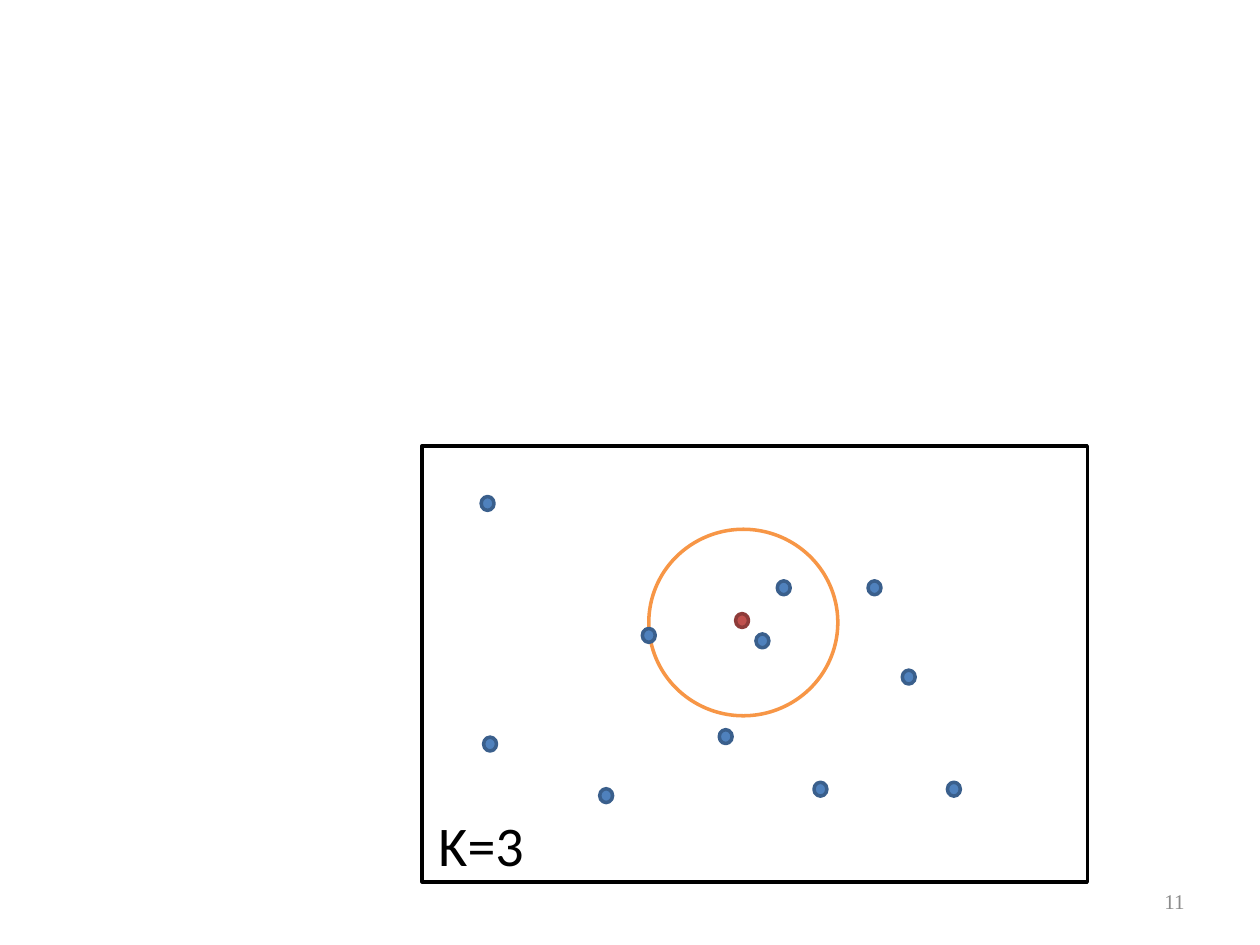
from pptx import Presentation
from pptx.dml.color import RGBColor
from pptx.enum.shapes import MSO_SHAPE
from pptx.enum.text import MSO_ANCHOR, PP_ALIGN
from pptx.util import Cm, Pt

RECTANGLE, OVAL = MSO_SHAPE.RECTANGLE, MSO_SHAPE.OVAL
TOP, MIDDLE = MSO_ANCHOR.TOP, MSO_ANCHOR.MIDDLE
LEFT, RIGHT = PP_ALIGN.LEFT, PP_ALIGN.RIGHT

COLORS = {
    "black": "000000",
    "gray": "8B8B8B",
    "query": "C0504D",
    "query_edge": "8E3B39",
    "sample": "4F81BD",
    "sample_edge": "3A5F8C",
    "neighborhood": "F79646",
}

FRAME = (8.51, 8.99, 13.41, 8.79)
NEIGHBORHOOD = (13.08, 10.67, 3.81, 3.76)
DOT_SIZE = (0.26, 0.28)
QUERY = (14.83, 12.37)
SAMPLES = [
    (17.5, 11.71), (14.5, 14.71), (19.1, 15.77), (12.09, 15.9),
    (15.24, 12.78), (9.7, 10.01), (15.67, 11.71), (12.95, 12.67),
    (16.41, 15.77), (18.19, 13.51), (9.75, 14.86),
]
LABELS = [
    ("K=3", (8.59, 16.21, 2.31, 1.6), "Calibri", 32, "black", LEFT, TOP),
    ("11", (18.21, 17.65, 5.92, 1.02), "Times New Roman", 12, "gray", RIGHT, MIDDLE),
]


def color(name):
    return RGBColor.from_string(COLORS[name])


def add_outline(slide, kind, box, line, fill=None):
    shape = slide.shapes.add_shape(kind, *map(Cm, box))
    shape.shadow.inherit = False
    if fill:
        shape.fill.solid()
        shape.fill.fore_color.rgb = color(fill)
    else:
        shape.fill.background()
    shape.line.color.rgb = color(line)
    shape.line.width = Pt(2)


def add_label(slide, text, box, font_name, size, font_color, alignment, anchor):
    text_frame = slide.shapes.add_textbox(*map(Cm, box)).text_frame
    text_frame.word_wrap = True
    text_frame.vertical_anchor = anchor
    paragraph = text_frame.paragraphs[0]
    paragraph.text = text
    paragraph.alignment = alignment
    font = paragraph.runs[0].font
    font.name = font_name
    font.size = Pt(size)
    font.color.rgb = color(font_color)


def main():
    presentation = Presentation()
    presentation.slide_width, presentation.slide_height = Cm(25.4), Cm(19.05)
    slide = presentation.slides.add_slide(presentation.slide_layouts[6])

    add_outline(slide, RECTANGLE, FRAME, "black")
    add_outline(slide, OVAL, NEIGHBORHOOD, "neighborhood")
    add_outline(slide, OVAL, QUERY + DOT_SIZE, "query_edge", "query")
    for position in SAMPLES:
        add_outline(slide, OVAL, position + DOT_SIZE, "sample_edge", "sample")
    for label in LABELS:
        add_label(slide, *label)

    presentation.save("out.pptx")


if __name__ == "__main__":
    main()
